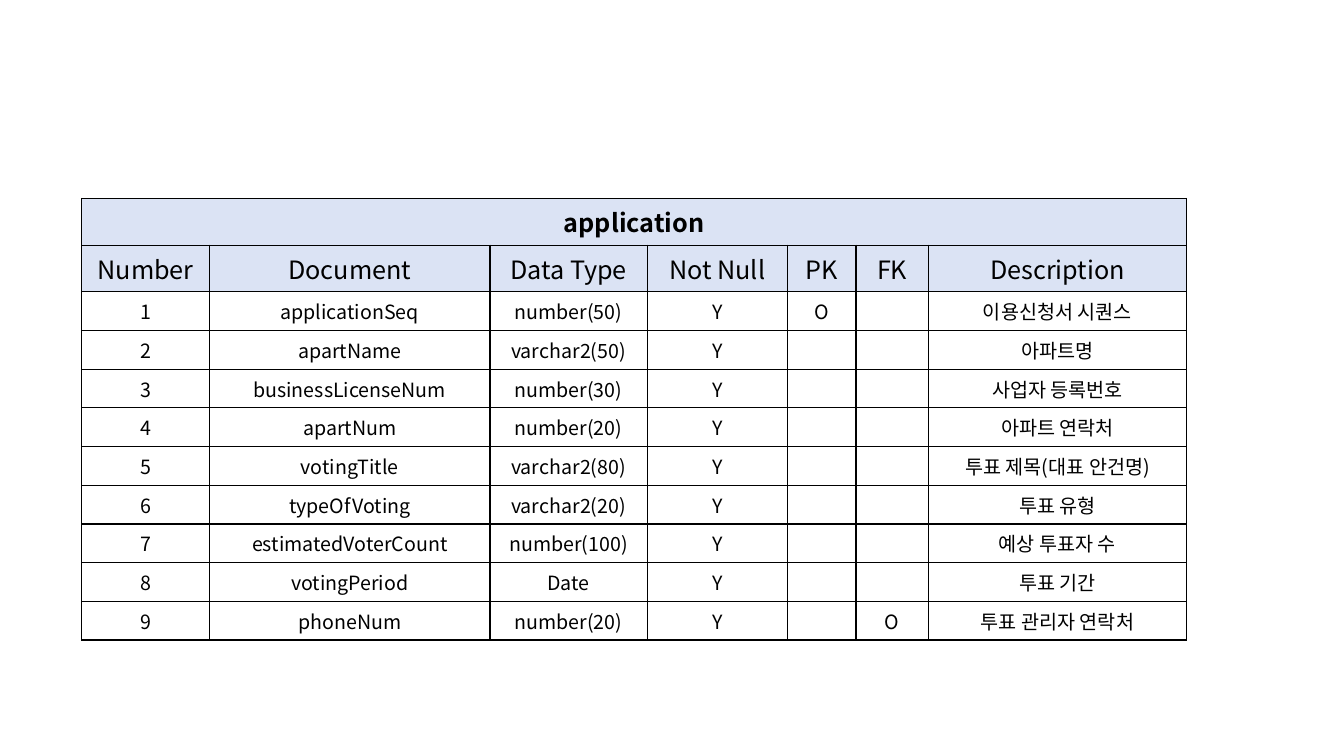
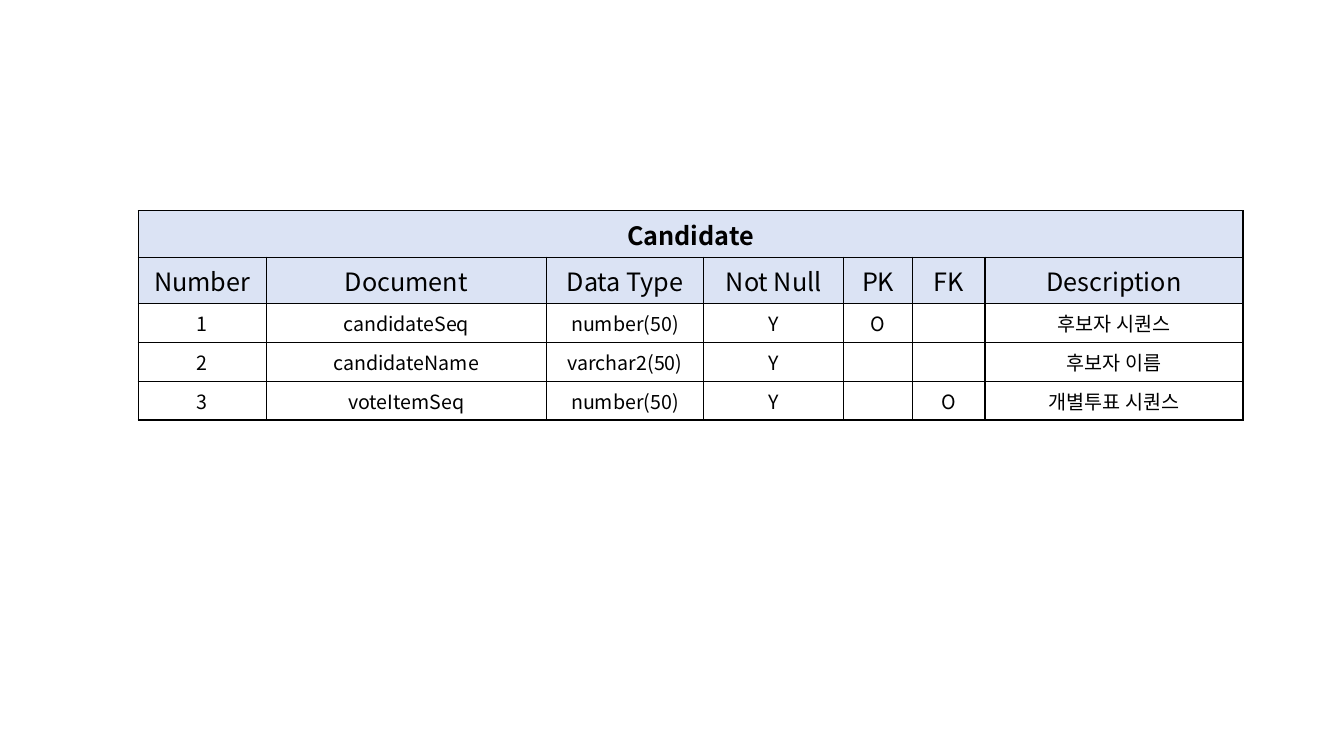
from dataclasses import dataclass

from lxml import etree
from pptx import Presentation
from pptx.dml.color import RGBColor
from pptx.enum.text import MSO_ANCHOR, PP_ALIGN
from pptx.oxml.ns import qn
from pptx.util import Inches, Pt

# Shared style
FONT = "Noto Sans CJK KR"
BLACK, WHITE, HEADER_BLUE = "000000", "FFFFFF", "DBE3F4"
HEADERS = ("Number", "Document", "Data Type", "Not Null", "PK", "FK", "Description")
COL_WIDTHS = (1.27, 2.78, 1.56, 1.39, 0.68, 0.72, 2.56)
HEADER_ROWS, HEADER_HEIGHT, BODY_HEIGHT = 2, 0.46, 0.38
HEADER_SIZE, BODY_SIZE, BORDER_WIDTH = 18, 14, 1


@dataclass
class Column:
    name: str
    data_type: str
    description: str
    pk: str = ""
    fk: str = ""
    not_null: str = "Y"

    def texts(self, number: int) -> tuple[str, ...]:
        return (str(number), self.name, self.data_type, self.not_null,
                self.pk, self.fk, self.description)


@dataclass
class Entity:
    name: str
    left: float
    top: float
    columns: list[Column]


ENTITIES = [
    Entity("application", 0.81, 1.97, [
        Column("applicationSeq", "number(50)", "이용신청서 시퀀스", pk="O"),
        Column("apartName", "varchar2(50)", "아파트명"),
        Column("businessLicenseNum", "number(30)", "사업자 등록번호"),
        Column("apartNum", "number(20)", "아파트 연락처"),
        Column("votingTitle", "varchar2(80)", "투표 제목(대표 안건명)"),
        Column("typeOfVoting", "varchar2(20)", "투표 유형"),
        Column("estimatedVoterCount", "number(100)", "예상 투표자 수"),
        Column("votingPeriod", "Date", "투표 기간"),
        Column("phoneNum", "number(20)", "투표 관리자 연락처", fk="O"),
    ]),
    Entity("Candidate", 1.37, 2.09, [
        Column("candidateSeq", "number(50)", "후보자 시퀀스", pk="O"),
        Column("candidateName", "varchar2(50)", "후보자 이름"),
        Column("voteItemSeq", "number(50)", "개별투표 시퀀스", fk="O"),
    ]),
]


def rgb(color: str) -> RGBColor:
    return RGBColor.from_string(color)


def add_borders(cell) -> None:
    tc_pr = cell._tc.get_or_add_tcPr()
    for i, side in enumerate(("lnL", "lnR", "lnT", "lnB")):
        ln = etree.Element(qn(f"a:{side}"), w=str(Pt(BORDER_WIDTH)))
        fill = etree.SubElement(ln, qn("a:solidFill"))
        etree.SubElement(fill, qn("a:srgbClr"), val=BLACK)
        tc_pr.insert(i, ln)  # borders come before the fill


def style_cell(cell, text: str, size: int, fill: str, bold: bool = False) -> None:
    cell.fill.solid()
    cell.fill.fore_color.rgb = rgb(fill)
    add_borders(cell)
    cell.vertical_anchor = MSO_ANCHOR.MIDDLE
    p = cell.text_frame.paragraphs[0]
    p.alignment = PP_ALIGN.CENTER
    if not text:
        # An empty cell needs its own text size to keep the row low
        etree.SubElement(p._p, qn("a:endParaRPr"), sz=str(size * 100))
        return
    p.text = text
    font = p.runs[0].font
    font.name, font.size, font.bold = FONT, Pt(size), bold
    font.color.rgb = rgb(BLACK)
    etree.SubElement(font._element, qn("a:ea"), typeface=FONT)


def add_entity_slide(prs, entity: Entity) -> None:
    s = prs.slides.add_slide(prs.slide_layouts[6])
    heights = [HEADER_HEIGHT] * HEADER_ROWS + [BODY_HEIGHT] * len(entity.columns)
    table = s.shapes.add_table(
        len(heights), len(HEADERS), Inches(entity.left), Inches(entity.top),
        Inches(sum(COL_WIDTHS)), Inches(sum(heights))).table
    table.first_row = table.horz_banding = False
    for col, width in zip(table.columns, COL_WIDTHS):
        col.width = Inches(width)
    for row, height in zip(table.rows, heights):
        row.height = Inches(height)

    # Entity name across the top, then column headings, then body rows
    table.cell(0, 0).merge(table.cell(0, len(HEADERS) - 1))
    title = (entity.name,) + ("",) * (len(HEADERS) - 1)
    body = [c.texts(n) for n, c in enumerate(entity.columns, 1)]
    for r, texts in enumerate([title, HEADERS, *body]):
        is_header = r < HEADER_ROWS
        size = HEADER_SIZE if is_header else BODY_SIZE
        fill = HEADER_BLUE if is_header else WHITE
        for c, text in enumerate(texts):
            style_cell(table.cell(r, c), text, size, fill, bold=r == 0)


def main() -> None:
    prs = Presentation()
    prs.slide_width, prs.slide_height = Inches(13.33), Inches(7.5)
    for entity in ENTITIES:
        add_entity_slide(prs, entity)
    prs.save("out.pptx")


if __name__ == "__main__":
    main()
